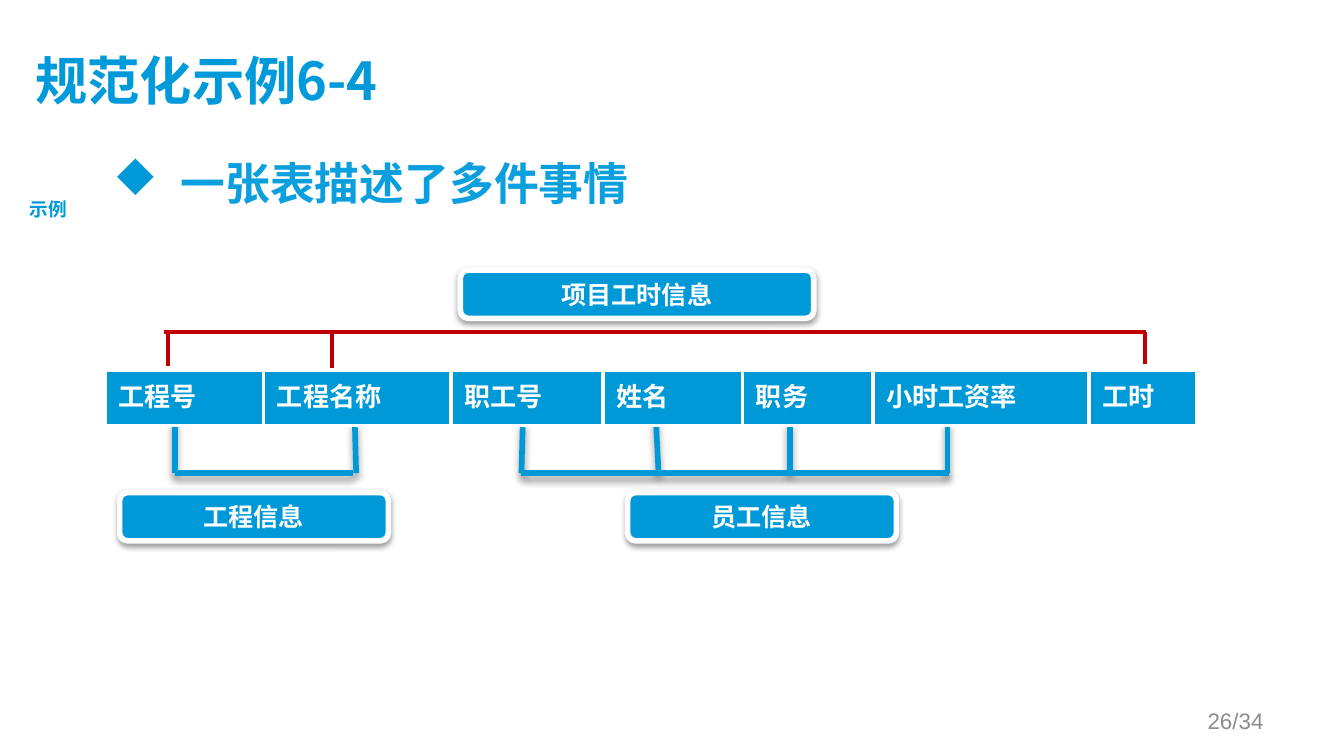
from lxml import etree
from pptx import Presentation
from pptx import util as u
from pptx.dml.color import RGBColor
from pptx.enum import shapes, text
from pptx.oxml import parse_xml
from pptx.oxml.ns import nsdecls, qn

# The slide is a grid of square cells, 100 columns by 56.25 rows.
COLUMNS, ROWS = 100, 56.25
CELL = u.Inches(0.1)
COLORS = {"blue": "0099D8", "title": "0099D9", "bullet": "0B9FDD",
          "red": "C00000", "white": "FFFFFF", "gray": "8C8C8C"}
CJK_FONT = "Noto Sans CJK SC"
LINE_SHADOW = {"opacity": 40, "blur": 4, "distance": 3}
LABEL_SHADOW = {"opacity": 38, "blur": 3.1, "distance": 1.6}

FIELDS = {"工程号": 11.8, "工程名称": 13.95, "职工号": 11.3, "姓名": 10.4,
          "职务": 9.7, "小时工资率": 16.1, "工时": 8}
LABELS = {"工程信息": (8.9, 36.65, 20, 3.6),
          "员工信息": (46.7, 36.65, 20, 3.6),
          "项目工时信息": (34.25, 20.1, 26.3, 3.6)}


def grid(*cells):
    return [round(cell * CELL) for cell in cells]


def color(name):
    return RGBColor.from_string(COLORS[name])


def set_all(target, values):
    for name, value in values.items():
        setattr(target, name, value)


def write(frame, content, size, fill, font=CJK_FONT, bold=True,
          align=text.PP_ALIGN.LEFT, **frame_format):
    set_all(frame, frame_format)
    paragraph = frame.paragraphs[0]
    paragraph.alignment = align
    run = paragraph.add_run()
    run.text = content
    set_all(run.font, {"size": u.Pt(size), "bold": bold, "name": font})
    run.font.color.rgb = color(fill)
    east_asian = etree.SubElement(run.font._element, qn("a:ea"))
    east_asian.set("typeface", CJK_FONT)
    return paragraph


def set_shadow(shape, opacity=0, blur=0, distance=0):
    """Give a shape a downward shadow, or none if opacity is 0."""
    effects = etree.SubElement(shape._element.spPr, qn("a:effectLst"))
    if opacity:
        effects.append(parse_xml(
            f'<a:outerShdw {nsdecls("a")} blurRad="{u.Pt(blur)}" '
            f'dist="{u.Pt(distance)}" dir="5400000" rotWithShape="0">'
            f'<a:srgbClr val="000000"><a:alpha val="{opacity * 1000}"/>'
            '</a:srgbClr></a:outerShdw>'))


def add_line(slide, start, end, stroke, width, shadow):
    line = slide.shapes.add_connector(
        shapes.MSO_CONNECTOR.STRAIGHT, *grid(*start, *end))
    line.line.color.rgb = color(stroke)
    line.line.width = u.Pt(width)
    set_shadow(line, **shadow)


def add_bracket(slide, rail, stems, stroke, width, shadow):
    """Draw a rail (left, right, row) and stems (rail column, tip column, tip row)."""
    left, right, row = rail
    for column, tip, tip_row in stems:
        add_line(slide, (column, row), (tip, tip_row), stroke, width, shadow)
    add_line(slide, (left, row), (right, row), stroke, width, shadow)


def add_title(slide, box):
    title = slide.shapes.title
    set_all(title, dict(zip(("left", "top", "width", "height"), grid(*box))))
    write(title.text_frame, "规范化示例6-4", 28, "title",
          vertical_anchor=text.MSO_ANCHOR.MIDDLE, margin_left=0, margin_top=0,
          margin_right=u.Inches(0.1), margin_bottom=u.Inches(0.05))


def add_text(slide, box, content, size, fill, **options):
    shape = slide.shapes.add_textbox(*grid(*box))
    return write(shape.text_frame, content, size, fill, **options)


def add_bullet(slide, box):
    paragraph = add_text(slide, box, "一张表描述了多件事情", 24, "bullet",
                         word_wrap=True)
    properties = paragraph._p.get_or_add_pPr()
    properties.set("marL", str(u.Inches(0.5)))
    properties.set("indent", str(u.Inches(-0.5)))
    # In Wingdings the letter u is a solid diamond.
    for markup in (f'<a:buClr {nsdecls("a")}><a:srgbClr val="{COLORS["blue"]}"/></a:buClr>',
                   f'<a:buFont {nsdecls("a")} typeface="Wingdings" charset="2"/>',
                   f'<a:buChar {nsdecls("a")} char="u"/>'):
        properties.append(parse_xml(markup))


def add_label(slide, box, content):
    label = slide.shapes.add_shape(
        shapes.MSO_SHAPE.ROUNDED_RECTANGLE, *grid(*box))
    label.fill.solid()
    label.fill.fore_color.rgb = color("blue")
    label.line.color.rgb = color("white")
    label.line.width = u.Pt(3)
    set_shadow(label, **LABEL_SHADOW)
    write(label.text_frame, content, 13.5, "white", font="Calibri",
          align=text.PP_ALIGN.CENTER, word_wrap=True,
          vertical_anchor=text.MSO_ANCHOR.MIDDLE)


def add_field_table(slide, box):
    table = slide.shapes.add_table(1, len(FIELDS), *grid(*box)).table
    table.horz_banding = False
    for index, (name, width) in enumerate(FIELDS.items()):
        table.columns[index].width = round(width * CELL)
        cell = table.cell(0, index)
        set_all(cell, {"margin_top": u.Inches(0.04),
                       "margin_bottom": u.Inches(0.04)})
        write(cell.text_frame, name, 14, "white")
        properties = cell._tc.get_or_add_tcPr()
        for side in "LRTB":
            properties.append(parse_xml(
                f'<a:ln{side} {nsdecls("a")} w="{u.Pt(2.25)}"><a:solidFill>'
                f'<a:srgbClr val="{COLORS["white"]}"/></a:solidFill></a:ln{side}>'))
        cell.fill.solid()
        cell.fill.fore_color.rgb = color("blue")


def add_brackets(slide):
    add_bracket(slide, (13, 26.3, 35.2),
                [(13, 13, 31.2), (26.5, 26.4, 31.4)], "blue", 3, LINE_SHADOW)
    add_bracket(slide, (38.8, 70.6, 35.2),
                [(38.8, 38.9, 31.4), (49, 48.8, 31.2),
                 (58.8, 58.8, 31.4), (70.5, 70.5, 31.4)], "blue", 3, LINE_SHADOW)
    add_bracket(slide, (12.2, 85.3, 24.7),
                [(12.5, 12.5, 27.2), (24.7, 24.7, 27.4), (85.2, 85.2, 27.1)],
                "red", 2.25, {})


def main():
    presentation = Presentation()
    set_all(presentation, dict(zip(("slide_width", "slide_height"),
                                   grid(COLUMNS, ROWS))))
    slide = presentation.slides.add_slide(presentation.slide_layouts[5])
    add_title(slide, (2.65, 2.3, 89.5, 7.7))
    add_bullet(slide, (7.45, 11.1, 84.9, 37.1))
    add_brackets(slide)
    for content, box in LABELS.items():
        add_label(slide, box, content)
    add_field_table(slide, (7.8, 27.55, sum(FIELDS.values()), 4.1))
    add_text(slide, (1.2, 14.2, 4.8, 2.7), "示例", 10, "blue", font="Arial",
             align=text.PP_ALIGN.CENTER, word_wrap=False)
    add_text(slide, (71.7, 52.15, 23.3, 3), "26/34", 12, "gray", font="Arial",
             bold=False, align=text.PP_ALIGN.RIGHT, word_wrap=True,
             vertical_anchor=text.MSO_ANCHOR.MIDDLE)
    presentation.save("out.pptx")


if __name__ == "__main__":
    main()
